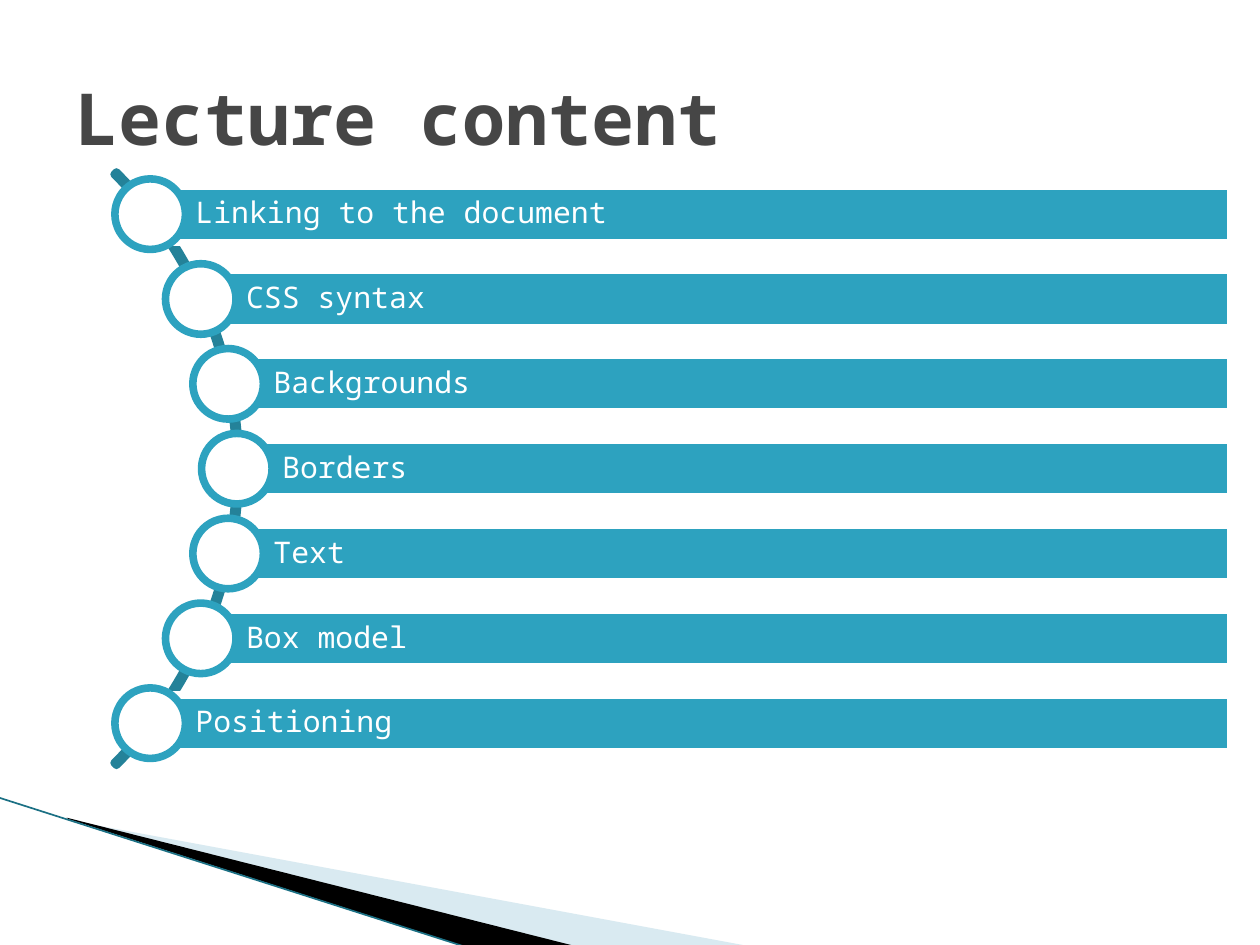
import math
import pptx
import pptx.util
import pptx.dml.color
import pptx.enum.shapes
import pptx.enum.text
import pptx.oxml
import pptx.oxml.ns
from lxml import etree

RGB = pptx.dml.color.RGBColor
Inches, Pt = pptx.util.Inches, pptx.util.Pt
SHAPE = pptx.enum.shapes.MSO_SHAPE
qn = pptx.oxml.ns.qn

WHITE = RGB(0xFF, 0xFF, 0xFF)
BLACK = RGB(0, 0, 0)
GREY = RGB(0x46, 0x46, 0x46)
TEAL = RGB(0x2D, 0xA2, 0xBF)
DARK_TEAL = RGB(0x24, 0x82, 0x99)
EDGE = RGB(0x1B, 0x70, 0x84)
PALE = RGB(0xA0, 0xCB, 0xDC)
FONT = "Noto Sans Mono"

TITLE = "Lecture content"
TOPICS = ["Linking to the document", "CSS syntax", "Backgrounds", "Borders",
          "Text", "Box model", "Positioning"]
WEDGES = [
    ([(0.55, 6.51), (5.95, 7.51), (4.56, 7.51), (0.55, 6.5)], PALE, 40),
    ([(0.53, 6.49), (4.57, 7.51), (3.72, 7.52), (0.54, 6.5)], BLACK, 100),
]
ARC_X, ARC_Y, ARC_R = -1.43, 3.72, 3.33
DOT_ORBIT, DOT = 3.31, 0.56
BAR_RIGHT, BAR_H = 9.77, 0.45
STEP = 4.04 / (len(TOPICS) - 1)
LINE_W = 4.33


def write(sp, text, size, color, bold=False, left=0.1, spacing=1.0):
    tf = sp.text_frame
    tf.word_wrap = True
    tf.vertical_anchor = pptx.enum.text.MSO_ANCHOR.MIDDLE
    tf.margin_left = Inches(left)
    tf.margin_top = tf.margin_right = tf.margin_bottom = Inches(0.05)
    p = tf.paragraphs[0]
    p.alignment = pptx.enum.text.PP_ALIGN.LEFT
    p.line_spacing = spacing
    r = p.add_run()
    r.text = text
    r.font.name, r.font.size, r.font.bold = FONT, Pt(size), bold
    r.font.color.rgb = color


def style(sp, fill=None, line=None):
    sp.shadow.inherit = False
    if fill is None:
        sp.fill.background()
    else:
        sp.fill.solid()
        sp.fill.fore_color.rgb = fill
    if line is None:
        sp.line.fill.background()
    else:
        sp.line.color.rgb = line
        sp.line.width = Pt(LINE_W)


def add(kind, x, y, w, h, fill, line):
    sp = s.shapes.add_shape(kind, Inches(x), Inches(y), Inches(w), Inches(h))
    style(sp, fill, line)
    return sp


prs = pptx.Presentation()
prs.slide_width, prs.slide_height = Inches(10), Inches(7.5)
s = prs.slides.add_slide(prs.slide_layouts[6])

for points, color, opacity in WEDGES:
    corners = [(Inches(x), Inches(y)) for x, y in points]
    builder = s.shapes.build_freeform(*corners[0])
    builder.add_line_segments(corners[1:], close=True)
    wedge = builder.convert_to_shape()
    style(wedge, color)
    if opacity < 100:
        clr = wedge.fill._xPr.find(".//" + qn("a:srgbClr"))
        etree.SubElement(clr, qn("a:alpha")).set("val", str(opacity * 1000))

edge = s.shapes.add_connector(pptx.enum.shapes.MSO_CONNECTOR.STRAIGHT,
                              Inches(-0.01), Inches(6.33), Inches(3.71), Inches(7.52))
edge.line.color.rgb = EDGE
edge.line.width = Pt(0.95)
etree.SubElement(edge._element.spPr, qn("a:effectLst"))

arc = add(SHAPE.BLOCK_ARC, ARC_X - ARC_R, ARC_Y - ARC_R, 2 * ARC_R, 2 * ARC_R, None, DARK_TEAL)
for i, value in enumerate((189, 27, 0.004)):
    arc.adjustments[i] = value

for i, topic in enumerate(TOPICS):
    dy = (i - (len(TOPICS) - 1) / 2) * STEP
    x, y = ARC_X + math.sqrt(DOT_ORBIT ** 2 - dy ** 2), ARC_Y + dy
    bar = add(SHAPE.RECTANGLE, x, y - BAR_H / 2, BAR_RIGHT - x, BAR_H, TEAL, WHITE)
    write(bar, topic, 17, WHITE, left=0.36, spacing=0.9)
    add(SHAPE.OVAL, x - DOT / 2, y - DOT / 2, DOT, DOT, WHITE, TEAL)

title = s.shapes.add_textbox(Inches(0.5), Inches(0.3), Inches(9), Inches(1.25))
write(title, TITLE, 41, GREY, bold=True)

prs.save("out.pptx")
